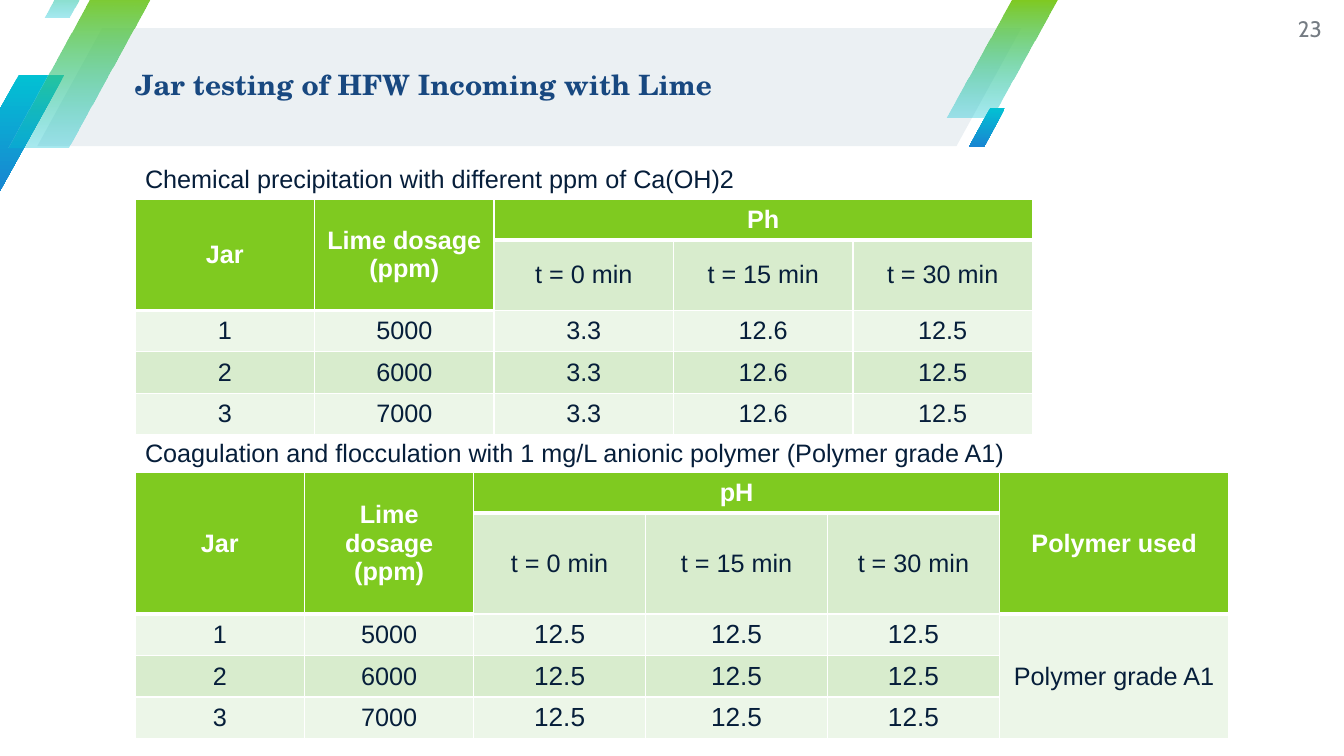
from dataclasses import dataclass

from lxml import etree
from pptx import Presentation
from pptx.dml.color import RGBColor
from pptx.enum.shapes import MSO_SHAPE
from pptx.enum.text import MSO_ANCHOR, MSO_AUTO_SIZE, PP_ALIGN
from pptx.oxml.ns import qn
from pptx.util import Inches, Pt

SLANT = MSO_SHAPE.PARALLELOGRAM
MIDDLE = MSO_ANCHOR.MIDDLE
LEFT, CENTER, RIGHT = PP_ALIGN.LEFT, PP_ALIGN.CENTER, PP_ALIGN.RIGHT
GROW, FIXED = MSO_AUTO_SIZE.SHAPE_TO_FIT_TEXT, MSO_AUTO_SIZE.NONE


@dataclass(frozen=True)
class Theme:
    white: str = "FFFFFF"
    panel: str = "EBF0F3"
    green: str = "7FCA20"
    cyan: str = "02C1D3"
    blue: str = "1985D2"
    title: str = "184880"
    ink: str = "061E3A"
    gray: str = "757C83"
    pale: str = "ECF6E8"
    band: str = "D8ECCD"
    body_font: str = "Arial"
    title_font: str = "TeX Gyre Schola"
    page_font: str = "Cabin"
    title_size: float = 20
    body_size: float = 18
    value_size: float = 18.7
    page_size: float = 16


class Deck:
    def __init__(self, slide, theme):
        self.slide = slide
        self.theme = theme

    def slant(self, box, adjust, colors, alpha=100):
        shape = self.slide.shapes.add_shape(SLANT, *map(Inches, box))
        shape.adjustments[0] = adjust
        shape.shadow.inherit = False
        shape.line.fill.background()
        if len(colors) == 1:
            shape.fill.solid()
            shape.fill.fore_color.rgb = RGBColor.from_string(colors[0])
            return
        shape.fill.gradient()
        shape.fill.gradient_angle = 270
        for stop, color, place in zip(shape.fill.gradient_stops, colors, (0, 1)):
            stop.color.rgb = RGBColor.from_string(color)
            stop.position = place
        if alpha < 100:
            last = list(shape._element.spPr.iter(qn("a:srgbClr")))[-1]
            etree.SubElement(last, qn("a:alpha")).set("val", str(alpha * 1000))

    def style(self, frame, font, size, color, bold=False, align=LEFT):
        for para in frame.paragraphs:
            para.alignment = align
            for run in para.runs:
                run.font.name = font
                run.font.size = Pt(size)
                run.font.bold = bold
                run.font.color.rgb = RGBColor.from_string(color)

    def text(self, box, words, font, size, color, bold=False, align=LEFT):
        frame = self.slide.shapes.add_textbox(*map(Inches, box)).text_frame
        frame.margin_left = frame.margin_right = 0
        frame.margin_top = frame.margin_bottom = 0
        frame.word_wrap = True
        frame.auto_size = FIXED
        frame.vertical_anchor = MIDDLE
        frame.text = words
        self.style(frame, font, size, color, bold, align)
        return frame

    def label(self, box, words):
        frame = self.slide.shapes.add_textbox(*map(Inches, box)).text_frame
        frame.word_wrap = False
        frame.auto_size = GROW
        frame.text = words
        self.style(frame, self.theme.body_font, self.theme.body_size, self.theme.ink)

    def border(self, cell, base):
        props = cell._tc.get_or_add_tcPr()
        for place, side in enumerate("LRTB"):
            line = etree.Element(qn(f"a:ln{side}"))
            width = base if side == "B" else 1
            line.set("w", str(Pt(width)))
            fill = etree.SubElement(line, qn("a:solidFill"))
            etree.SubElement(fill, qn("a:srgbClr")).set("val", self.theme.white)
            props.insert(place, line)

    def table(self, box, widths, heights, rows, spans, size):
        theme = self.theme
        shape = self.slide.shapes.add_table(len(rows), len(widths), *map(Inches, box))
        grid = shape.table
        for col, width in zip(grid.columns, widths):
            col.width = Inches(width)
        for row, height in zip(grid.rows, heights):
            row.height = Inches(height)
        for top, left, end, right in spans:
            grid.cell(top, left).merge(grid.cell(end, right))
        for r, row in enumerate(rows):
            for c, words in enumerate(row):
                cell = grid.cell(r, c)
                head = r == 0 or (r == 1 and cell.is_spanned)
                fill = theme.green if head else theme.band if r % 2 else theme.pale
                cell.fill.solid()
                cell.fill.fore_color.rgb = RGBColor.from_string(fill)
                self.border(cell, 3 if head else 1)
                cell.vertical_anchor = MIDDLE
                if words:
                    cell.text_frame.text = words
                value = r > 1 and 2 <= c <= 4
                self.style(cell.text_frame, theme.body_font,
                           size if value else theme.body_size,
                           theme.white if head else theme.ink, head, CENTER)


def main():
    show = Presentation()
    show.slide_width, show.slide_height = Inches(13.33), Inches(7.5)
    theme = Theme()
    deck = Deck(show.slides.add_slide(show.slide_layouts[6]), theme)

    sea = (theme.cyan, theme.blue)
    leaf = (theme.green, theme.cyan)
    deck.slant((0.37, 0.28, 9.76, 1.17), 0.55, (theme.panel,))
    for box, colors, alpha in (
        ((-0.46, 0.74, 1.1, 1.17), sea, 100),
        ((9.39, 0, 1.1, 1.17), leaf, 34),
        ((0.08, -0.1, 1.46, 1.56), leaf, 34),
        ((0.44, -0.48, 0.61, 0.65), leaf, 34),
        ((9.61, 1.07, 0.36, 0.39), sea, 100),
    ):
        deck.slant(box, 0.59, colors, alpha)

    title = deck.text((1.34, 0.26, 8.79, 1.19), "Jar testing of HFW Incoming with Lime",
                      theme.title_font, theme.title_size, theme.title, bold=True)
    title.paragraphs[0].line_spacing = 0.9
    deck.text((12.48, 0, 0.63, 0.57), "23", theme.page_font, theme.page_size,
              theme.gray, align=RIGHT)

    times = [f"t = {mins} min" for mins in (0, 15, 30)]
    doses = [("1", "5000"), ("2", "6000"), ("3", "7000")]
    heights = [0.39] + [0.41] * 4
    spans = [(0, 0, 1, 0), (0, 1, 1, 1), (0, 2, 0, 4)]

    deck.label((1.34, 1.57, 6.17, 0.4),
               "Chemical precipitation with different ppm of Ca(OH)2")
    rows = [["Jar", "Lime dosage (ppm)", "Ph", None, None], [None, None, *times]]
    rows += [[*dose, "3.3", "12.6", "12.5"] for dose in doses]
    deck.table((1.34, 1.98, 8.89, 2.27), [1.78] * 5, heights, rows, spans,
               theme.body_size)

    agent = "Polymer grade A1"
    deck.label((1.34, 4.29, 8.96, 0.4),
               f"Coagulation and flocculation with 1 mg/L anionic polymer ({agent})")
    rows = [["Jar", "Lime dosage (ppm)", "pH", None, None, "Polymer used"],
            [None, None, *times, None]]
    rows += [[*dose, *["12.5"] * 3, None] for dose in doses]
    rows[2][5] = agent
    deck.table((1.34, 4.69, 10.85, 2.27), [1.68, 1.68, 1.7, 1.81, 1.7, 2.28],
               heights, rows, spans + [(0, 5, 1, 5), (2, 5, 4, 5)], theme.value_size)

    show.save("out.pptx")


if __name__ == "__main__":
    main()
